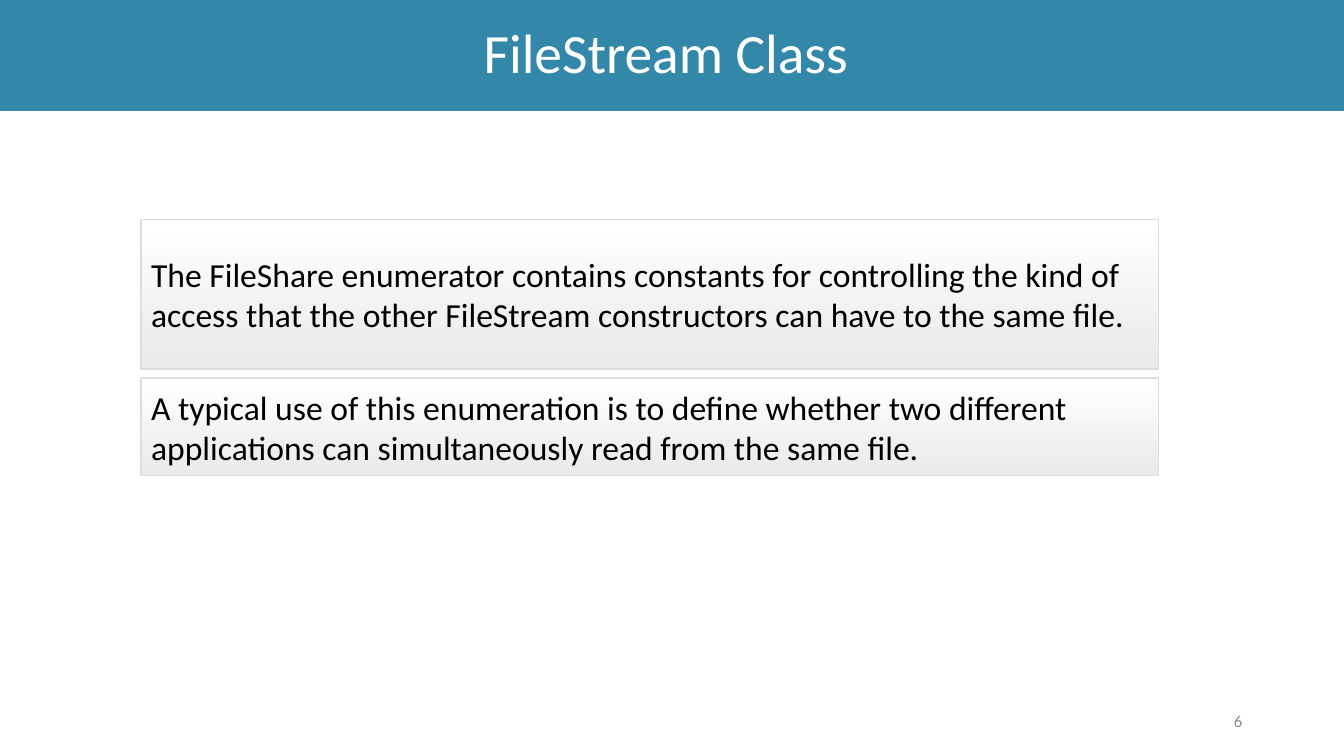
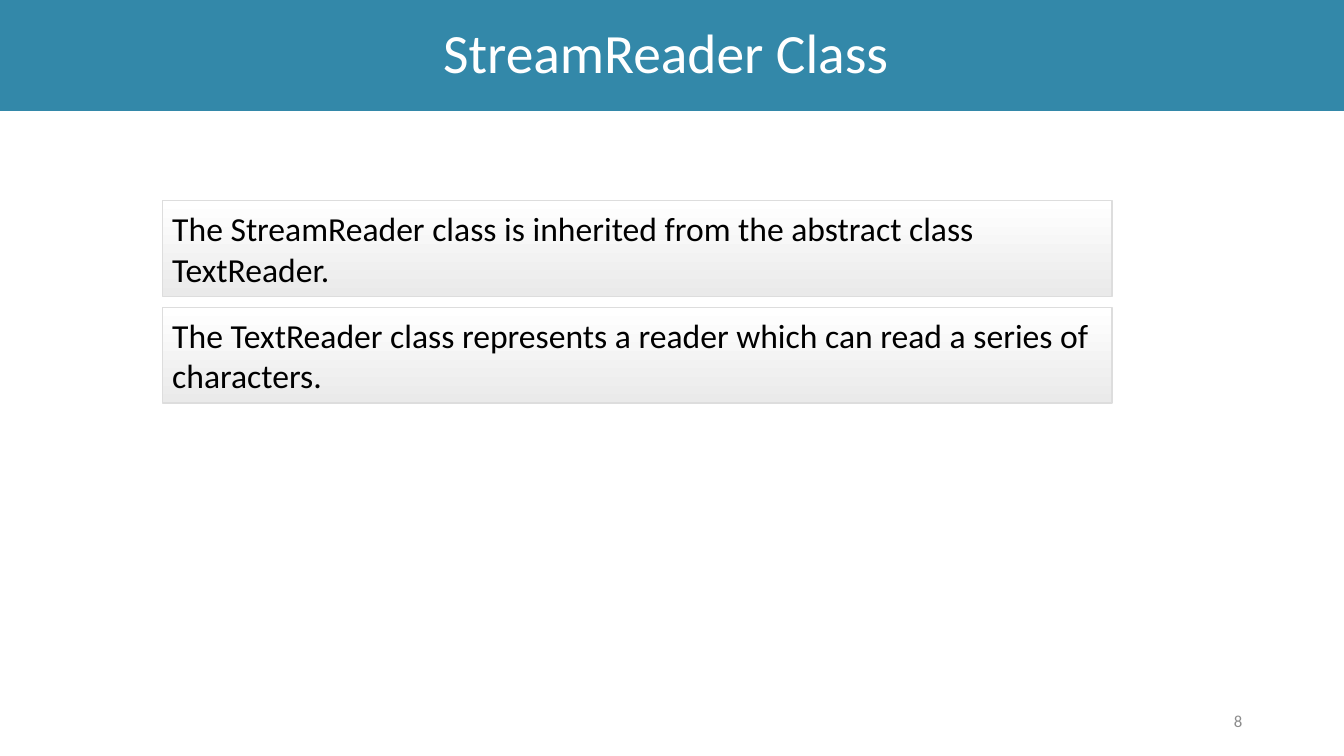
from pptx import Presentation
from pptx.dml.color import RGBColor
from pptx.enum.shapes import MSO_SHAPE
from pptx.enum.text import MSO_ANCHOR, PP_ALIGN
from pptx.util import Inches, Pt

SLIDE_WIDTH = 13.33
SLIDE_HEIGHT = 7.5
FONT = "Calibri"
BLUE = RGBColor(0x33, 0x88, 0xA9)
WHITE = RGBColor(0xFF, 0xFF, 0xFF)
BLACK = RGBColor(0x00, 0x00, 0x00)
PALE_GRAY = RGBColor(0xEA, 0xEA, 0xEA)
BORDER_GRAY = RGBColor(0xDD, 0xDD, 0xDD)
NUMBER_GRAY = RGBColor(0x8C, 0x8C, 0x8C)


def set_text(shape, text, size, color, alignment):
    frame = shape.text_frame
    frame.word_wrap = True
    frame.vertical_anchor = MSO_ANCHOR.MIDDLE
    paragraph = frame.paragraphs[0]
    paragraph.text = text
    paragraph.alignment = alignment
    paragraph.font.name = FONT
    paragraph.font.size = Pt(size)
    paragraph.font.color.rgb = color
    return paragraph


def add_rectangle(slide, left, top, width, height):
    shape = slide.shapes.add_shape(
        MSO_SHAPE.RECTANGLE, Inches(left), Inches(top), Inches(width), Inches(height)
    )
    shape.shadow.inherit = False
    return shape


def add_title_band(slide, title):
    band = add_rectangle(slide, 0, 0, SLIDE_WIDTH, 1.1)
    band.fill.solid()
    band.fill.fore_color.rgb = BLUE
    band.line.fill.background()
    paragraph = set_text(band, title, 39.6, WHITE, PP_ALIGN.CENTER)
    paragraph.line_spacing = 0.9
    # The title sits slightly left of the middle.
    band.text_frame.margin_right = Inches(0.22)


def add_slide_number(slide, number):
    box = slide.shapes.add_textbox(Inches(9.42), Inches(6.95), Inches(3), Inches(0.4))
    set_text(box, str(number), 12, NUMBER_GRAY, PP_ALIGN.RIGHT)


def add_statement(slide, text, left, top, width, height):
    """Add a bordered box with a vertical gradient and left-aligned text."""
    box = add_rectangle(slide, left, top, width, height)
    box.fill.gradient()
    box.fill.gradient_angle = 270
    for stop, color in zip(box.fill.gradient_stops, (WHITE, PALE_GRAY)):
        stop.color.rgb = color
    box.line.color.rgb = BORDER_GRAY
    box.line.width = Pt(1)
    set_text(box, text, 24, BLACK, PP_ALIGN.LEFT)


def add_statement_slide(presentation, title, number, left, top, width, gap, statements):
    """Add a slide whose statements, (height, text) pairs, are stacked from top."""
    slide = presentation.slides.add_slide(presentation.slide_layouts[6])
    add_title_band(slide, title)
    add_slide_number(slide, number)
    for height, text in statements:
        add_statement(slide, text, left, top, width, height)
        top += height + gap


def main():
    presentation = Presentation()
    presentation.slide_width = Inches(SLIDE_WIDTH)
    presentation.slide_height = Inches(SLIDE_HEIGHT)
    add_statement_slide(
        presentation, "FileStream Class", 6,
        left=1.4, top=2.18, width=10.09, gap=0.09,
        statements=[
            (1.48, "The FileShare enumerator contains constants for controlling the kind of "
                   "access that the other FileStream constructors can have to the same file."),
            (0.97, "A typical use of this enumeration is to define whether two different "
                   "applications can simultaneously read from the same file."),
        ],
    )
    add_statement_slide(
        presentation, "StreamReader Class", 8,
        left=1.61, top=1.99, width=9.42, gap=0.11,
        statements=[
            (0.95, "The StreamReader class is inherited from the abstract class TextReader."),
            (0.95, "The TextReader class represents a reader which can read a series of "
                   "characters."),
        ],
    )
    presentation.save("out.pptx")


if __name__ == "__main__":
    main()
